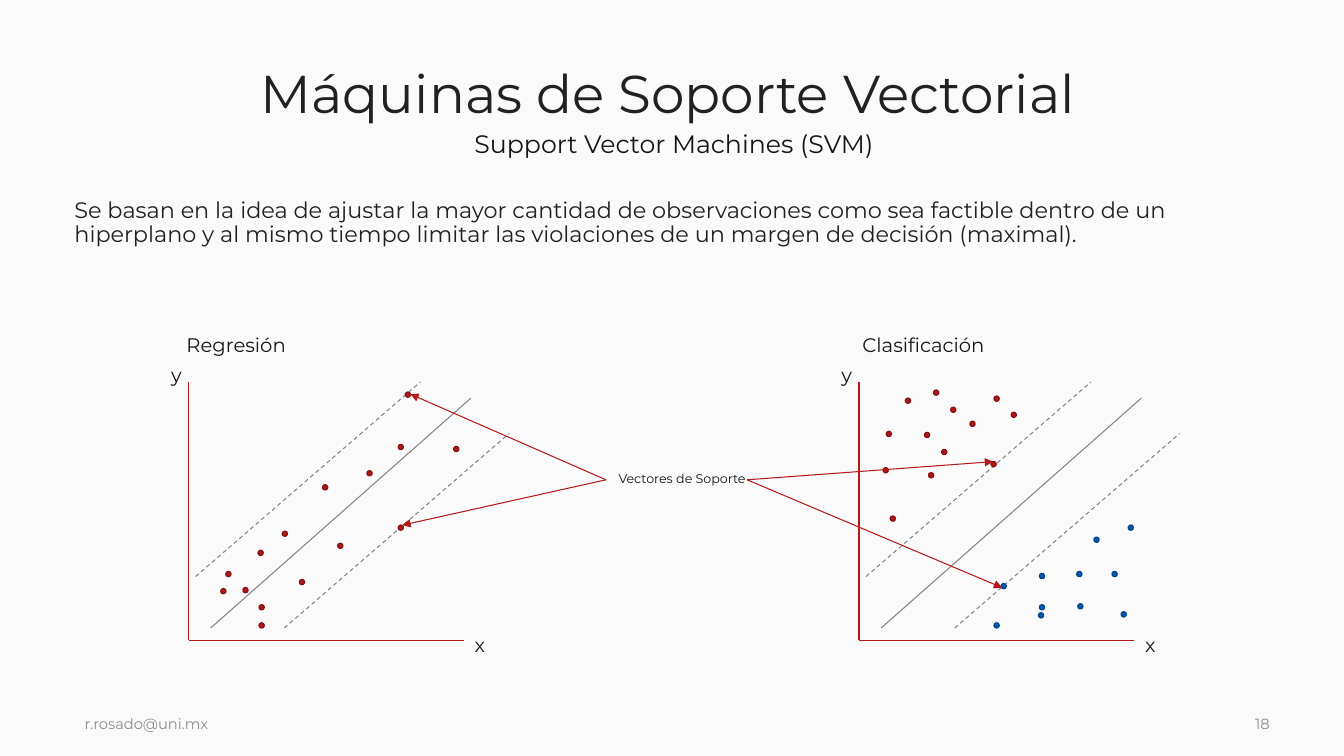
from pptx import Presentation, util as u
from pptx.dml.color import RGBColor
from pptx.enum import dml, shapes, text
from pptx.oxml.ns import qn
from lxml import etree

THEME = dict(
    font="Montserrat", bg="FAFAFA", title="212121", ink="171616", muted="8D8D8D",
    red="B6171A", red_edge="871113", blue="005CB9", blue_edge="004489", gray="868382",
    title_size=38, subtitle_size=18, body_size=16, label_size=14, footer_size=10.5,
    note_size=9, line=0.75, edge=1,
)
COLS, ROWS = 1333, 750
DOT = 5
LEFT, CENTER = text.PP_ALIGN.LEFT, text.PP_ALIGN.CENTER
TOP, MIDDLE = text.MSO_ANCHOR.TOP, text.MSO_ANCHOR.MIDDLE

prs = Presentation()
prs.slide_width, prs.slide_height = u.Inches(13.33), u.Inches(7.5)
CW, RH = prs.slide_width / COLS, prs.slide_height / ROWS
s = prs.slides.add_slide(prs.slide_layouts[6])
s.background.fill.solid()
s.background.fill.fore_color.rgb = RGBColor.from_string(THEME["bg"])


def add_text(box, words, size, color, align=LEFT, anchor=MIDDLE, tight=False, **spacing):
    x, y, w, h = box
    tf = s.shapes.add_textbox(int(x * CW), int(y * RH), int(w * CW), int(h * RH)).text_frame
    frame = dict(word_wrap=True, vertical_anchor=anchor)
    if tight:
        frame.update(margin_top=0, margin_right=0, margin_bottom=0)
    for key, value in frame.items():
        setattr(tf, key, value)
    p = tf.paragraphs[0]
    for key, value in dict(alignment=align, **spacing).items():
        setattr(p, key, value)
    r = p.add_run()
    r.text = words
    for key, value in dict(name=THEME["font"], size=u.Pt(THEME[size])).items():
        setattr(r.font, key, value)
    r.font.color.rgb = RGBColor.from_string(THEME[color])


def add_line(ends, color, dashed=False, arrow=False):
    x1, y1, x2, y2 = ends
    c = s.shapes.add_connector(shapes.MSO_CONNECTOR.STRAIGHT,
                               int(x1 * CW), int(y1 * RH), int(x2 * CW), int(y2 * RH))
    c.line.color.rgb = RGBColor.from_string(THEME[color])
    c.line.width = u.Pt(THEME["line"])
    if dashed:
        c.line.dash_style = dml.MSO_LINE.DASH
    if arrow:
        etree.SubElement(c.line._get_or_add_ln(), qn("a:tailEnd"), type="triangle")
    etree.SubElement(c._element.spPr, qn("a:effectLst"))


add_text((64, 51, 1197, 89), "Máquinas de Soporte Vectorial", "title_size", "title",
         CENTER, line_spacing=0.9)
add_text((74, 686, 766, 64), "r.rosado@uni.mx", "footer_size", "muted")
add_text((1235, 686, 39, 64), "18", "footer_size", "muted")
add_text((76, 122, 1185, 40), "Support Vector Machines (SVM)", "subtitle_size", "ink",
         CENTER, TOP)
add_text((64, 193, 1197, 450),
         "Se basan en la idea de ajustar la mayor cantidad de observaciones como sea factible "
         "dentro de un hiperplano y al mismo tiempo limitar las violaciones de un margen de "
         "decisión (maximal).", "body_size", "title", LEFT, TOP,
         line_spacing=0.9, space_before=u.Pt(10))

AXIS_TOP, AXIS_BOTTOM, AXIS_WIDTH = 379, 635, 273
for x0, name, align in [(187, "Regresión", LEFT), (852, "Clasificación", CENTER)]:
    add_line((x0, AXIS_TOP, x0, AXIS_BOTTOM), "red")
    add_line((x0 + AXIS_WIDTH, AXIS_BOTTOM, x0, AXIS_BOTTOM), "red")
    for words, dx, y, w, side in [("y", -42, 358, 50, CENTER), ("x", 259, 626, 50, CENTER),
                                  (name, -12, 328, 142, align)]:
        add_text((x0 + dx, y, w, 28), words, "label_size", "ink", side, tight=True)
    for dx, y, w, h, dashed in [(22, 623, 258, 228, False), (7, 572, 223, 193, True),
                                (95, 623, 223, 193, True)]:
        add_line((x0 + dx, y, x0 + dx + w, y - h), "gray", dashed)

observations = {
    "red": [
        (297, 575), (450, 443), (402, 389), (395, 441), (320, 481), (257, 600), (335, 539),
        (280, 527), (395, 521), (257, 618), (364, 467), (219, 584), (256, 546), (224, 567),
        (241, 583),
        (879, 428), (921, 469), (883, 512), (986, 393), (876, 464), (917, 429), (962, 418),
        (926, 387), (898, 395), (1003, 409), (934, 446), (983, 458), (943, 404),
    ],
    "blue": [
        (993, 579), (1119, 521), (1085, 533), (1031, 569), (986, 618), (1030, 608),
        (1103, 567), (1068, 567), (1112, 607), (1069, 599), (1031, 600),
    ],
}
for color, points in observations.items():
    for x, y in points:
        sp = s.shapes.add_shape(shapes.MSO_SHAPE.OVAL, int(x * CW), int(y * RH),
                                int(DOT * CW), int(DOT * RH))
        sp.shadow.inherit = False
        sp.fill.solid()
        sp.fill.fore_color.rgb = RGBColor.from_string(THEME[color])
        sp.line.color.rgb = RGBColor.from_string(THEME[color + "_edge"])
        sp.line.width = u.Pt(THEME["edge"])

add_text((601, 461, 141, 28), "Vectores de Soporte", "note_size", "ink", CENTER, tight=True)
for x, targets in [(601, [(407, 391), (399, 521)]), (741, [(985, 458), (994, 583)])]:
    for target in targets:
        add_line((x, 476, *target), "red", arrow=True)

prs.save("out.pptx")
